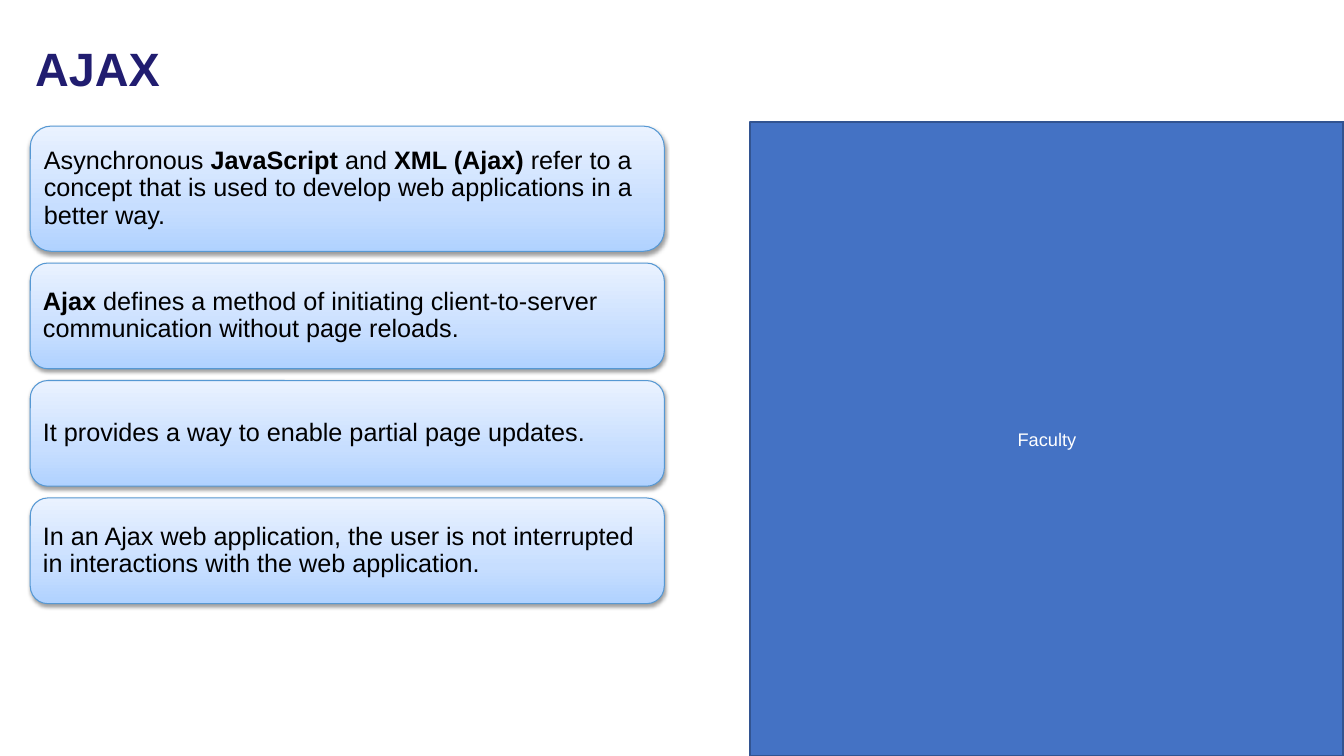
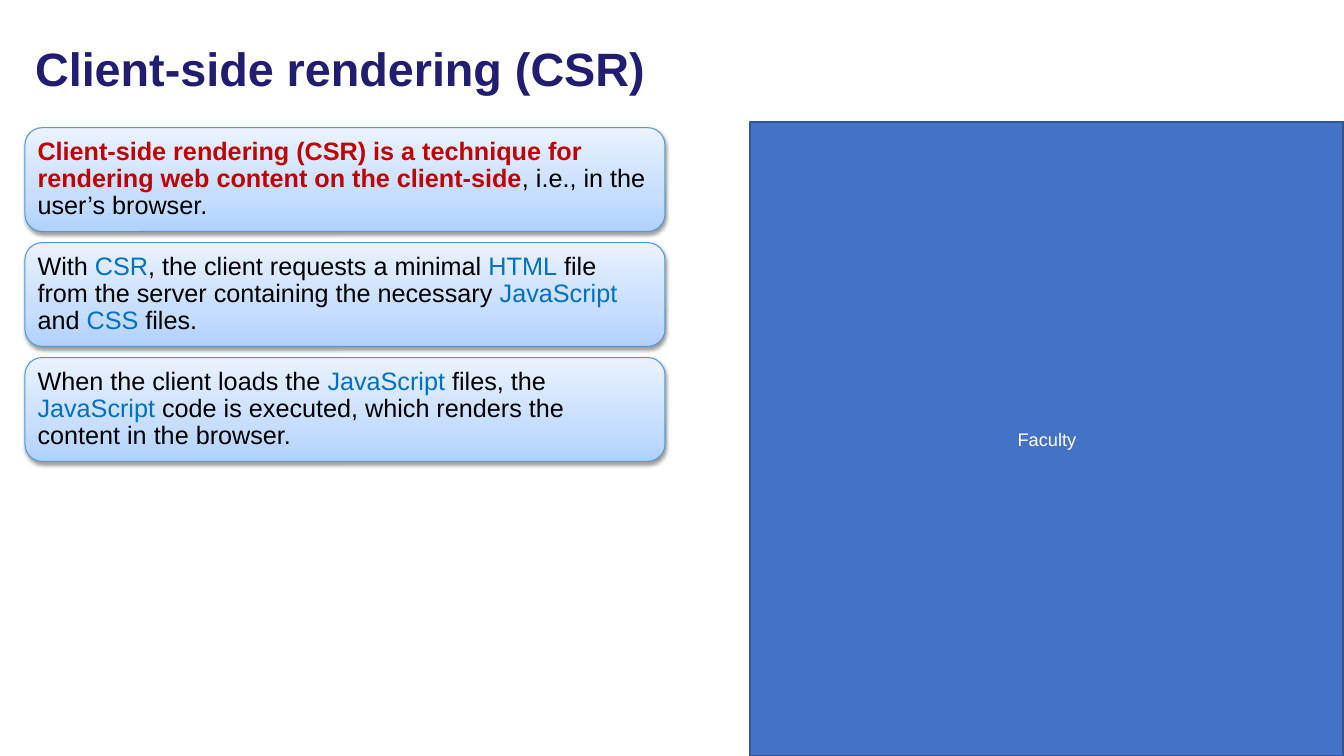
from copy import deepcopy
from dataclasses import dataclass

from pptx import Presentation
from pptx import util as u
from pptx.dml.color import RGBColor
from pptx.enum import shapes, text
from pptx.oxml import parse_xml
from pptx.oxml.ns import nsdecls, qn


@dataclass(frozen=True)
class Theme:
    font: str = "Arial"
    title_size: float = 33.4
    body_size: float = 18
    panel_size: float = 13
    title: str = "211D70"
    body: str = "000000"
    term: str = "0070C0"
    alert: str = "C00000"
    panel_fill: str = "4472C4"
    panel_line: str = "325491"
    panel_text: str = "FFFFFF"
    card_line: str = "5698D3"
    card_stops: tuple[tuple[float, str], ...] = (
        (0, "B0D2FF"), (0.35, "C7DEFF"), (1, "EAF2FF"))


THEME = Theme()


@dataclass(frozen=True)
class Run:
    text: str
    color: str = THEME.body
    bold: bool = False


@dataclass(frozen=True)
class Box:
    left: float
    top: float
    width: float
    height: float

    def lengths(self) -> tuple[u.Length, ...]:
        return tuple(u.Pt(v) for v in (self.left, self.top, self.width, self.height))


@dataclass(frozen=True)
class Card:
    height: float
    runs: tuple[Run, ...]


@dataclass(frozen=True)
class Topic:
    title: str
    left: float
    top: float
    width: float
    gap: float
    cards: tuple[Card, ...]


SLIDE = Box(0, 0, 960, 540)
TITLE = Box(18, 18, 850.3, 65.5)
PANEL = Box(535.7, 87.1, 424.3, 452.9)


def term(word: str) -> Run:
    return Run(word, THEME.term)


def strong(words: str, color: str = THEME.body) -> Run:
    return Run(words, color, True)


TOPICS = (
    Topic("AJAX", 21.6, 90.1, 452.9, 8.4, (
        Card(89.4, (
            Run("Asynchronous "), strong("JavaScript"), Run(" and "),
            strong("XML (Ajax) "),
            Run("refer to a concept that is used to develop web applications "
                "in a better way."))),
        Card(75.5, (
            strong("Ajax"),
            Run(" defines a method of initiating client-to-server "
                "communication without page reloads."))),
        Card(75.5, (Run("It provides a way to enable partial page updates."),)),
        Card(75.5, (
            Run("In an Ajax web application, the user is not interrupted in "
                "interactions with the web application."),)),
    )),
    Topic("Client-side rendering (CSR)", 17.8, 91.2, 457.2, 7.9, (
        Card(74.2, (
            strong("Client-side rendering (CSR) is a technique for rendering "
                   "web content on the client-side", THEME.alert),
            Run(", i.e., in the user’s browser."))),
        Card(74.2, (
            Run("With "), term("CSR"), Run(", the client requests a minimal "),
            term("HTML"),
            Run(" file from the server containing the necessary "),
            term("JavaScript "), Run("and "), term("CSS"), Run(" files."))),
        Card(74.2, (
            Run("When the client loads the "), term("JavaScript"),
            Run(" files, the "), term("JavaScript"),
            Run(" code is executed, which renders the content in the browser."))),
    )),
)


def write(shape, runs: tuple[Run, ...], *, size: float, align=text.PP_ALIGN.LEFT,
          spacing: float = 0.9, inset_x: float = 7.2, inset_y: float = 3.6) -> None:
    frame = shape.text_frame
    frame.word_wrap = True
    frame.vertical_anchor = text.MSO_ANCHOR.MIDDLE
    frame.margin_left = frame.margin_right = u.Pt(inset_x)
    frame.margin_top = frame.margin_bottom = u.Pt(inset_y)
    paragraph = frame.paragraphs[0]
    paragraph.alignment = align
    paragraph.line_spacing = spacing
    for item in runs:
        run = paragraph.add_run()
        run.text = item.text
        run.font.name = THEME.font
        run.font.size = u.Pt(size)
        run.font.bold = item.bold
        run.font.color.rgb = RGBColor.from_string(item.color)


def add_outlined(slide, preset, box: Box, line: str, weight: float):
    shape = slide.shapes.add_shape(preset, *box.lengths())
    shape.shadow.inherit = False
    shape.line.color.rgb = RGBColor.from_string(line)
    shape.line.width = u.Pt(weight)
    return shape


def fill_gradient(shape) -> None:
    shape.fill.gradient()
    shape.fill.gradient_angle = 90
    stop_list = shape.element.spPr.find(qn("a:gradFill")).find(qn("a:gsLst"))
    stop_list.append(deepcopy(stop_list[-1]))
    for stop, (position, color) in zip(shape.fill.gradient_stops, THEME.card_stops):
        stop.position = position
        stop.color.rgb = RGBColor.from_string(color)


def cast_shadow(shape) -> None:
    effects = shape.element.spPr.find(qn("a:effectLst"))
    effects.append(parse_xml(
        f'<a:outerShdw {nsdecls("a")} blurRad="{u.Pt(3.1)}" dist="{u.Pt(1.6)}" '
        'dir="5400000" rotWithShape="0"><a:srgbClr val="000000">'
        '<a:alpha val="38000"/></a:srgbClr></a:outerShdw>'))


def add_panel(slide) -> None:
    panel = add_outlined(slide, shapes.MSO_SHAPE.RECTANGLE, PANEL, THEME.panel_line, 2)
    panel.fill.solid()
    panel.fill.fore_color.rgb = RGBColor.from_string(THEME.panel_fill)
    write(panel, (Run("Faculty", THEME.panel_text),), size=THEME.panel_size,
          align=text.PP_ALIGN.CENTER, spacing=1.0)


def add_title(slide, title: str) -> None:
    write(slide.shapes.add_textbox(*TITLE.lengths()), (strong(title, THEME.title),),
          size=THEME.title_size)


def add_card(slide, box: Box, runs: tuple[Run, ...]) -> None:
    card = add_outlined(slide, shapes.MSO_SHAPE.ROUNDED_RECTANGLE, box,
                        THEME.card_line, 0.75)
    fill_gradient(card)
    cast_shadow(card)
    write(card, runs, size=THEME.body_size, inset_x=5.4, inset_y=5.4)


def add_topic(presentation, topic: Topic) -> None:
    slide = presentation.slides.add_slide(presentation.slide_layouts[6])
    add_panel(slide)
    add_title(slide, topic.title)
    top = topic.top
    for card in topic.cards:
        add_card(slide, Box(topic.left, top, topic.width, card.height), card.runs)
        top += card.height + topic.gap


def main() -> None:
    presentation = Presentation()
    presentation.slide_width = u.Pt(SLIDE.width)
    presentation.slide_height = u.Pt(SLIDE.height)
    for topic in TOPICS:
        add_topic(presentation, topic)
    presentation.save("out.pptx")


if __name__ == "__main__":
    main()
